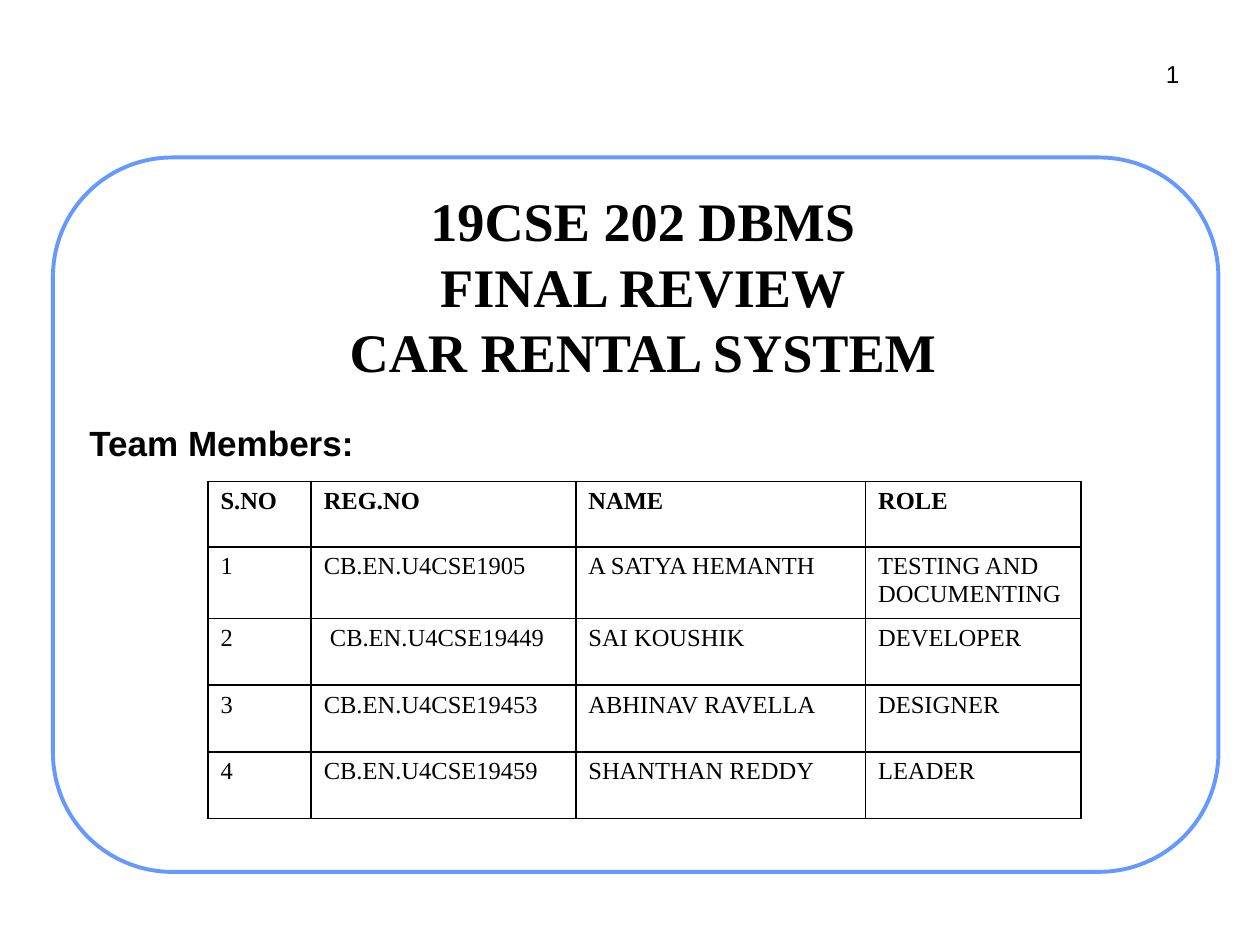
from pptx import Presentation
from pptx.dml.color import RGBColor
from pptx.enum.shapes import MSO_SHAPE
from pptx.enum.text import MSO_ANCHOR, PP_ALIGN
from pptx.oxml import parse_xml
from pptx.oxml.ns import nsdecls
from pptx.util import Inches, Pt

ROUND = MSO_SHAPE.ROUNDED_RECTANGLE
TOP, MIDDLE = MSO_ANCHOR.TOP, MSO_ANCHOR.MIDDLE
LEFT, CENTER, RIGHT = PP_ALIGN.LEFT, PP_ALIGN.CENTER, PP_ALIGN.RIGHT

TITLE = "19CSE 202 DBMS\vFINAL REVIEW\vCAR RENTAL SYSTEM"
TEAM = [
    ["S.NO", "REG.NO", "NAME", "ROLE"],
    ["1", "CB.EN.U4CSE1905", "A SATYA HEMANTH", "TESTING AND DOCUMENTING"],
    ["2", " CB.EN.U4CSE19449", "SAI KOUSHIK", "DEVELOPER"],
    ["3", "CB.EN.U4CSE19453", "ABHINAV RAVELLA", "DESIGNER"],
    ["4", "CB.EN.U4CSE19459", "SHANTHAN REDDY", "LEADER"],
]
WIDTHS = [0.82, 2.1, 2.3, 1.71]
HEIGHTS = [0.52] + [0.53] * 4


def color(code):
    """Turn a hex string into a colour."""
    return RGBColor.from_string(code)


def write(frame, text, size=14, font="Arial", ink="000000", bold=False, align=LEFT, space=1.0):
    """Put formatted text in the first paragraph of a frame."""
    para = frame.paragraphs[0]
    para.text = text
    para.alignment = align
    para.line_spacing = space
    for run in para.runs:
        run.font.size = Pt(size)
        run.font.name = font
        run.font.bold = bold
        run.font.color.rgb = color(ink)


class Deck:
    """Hold the style and the current slide."""

    serif = "Times New Roman"
    ink = "000000"
    paper = "FFFFFF"
    accent = "6699FF"
    pad = Inches(0.05)

    def __init__(self, slide):
        """Keep the slide to draw on."""
        self.shapes = slide.shapes

    def panel(self, *box):
        """Draw the rounded frame."""
        shape = self.shapes.add_shape(ROUND, *map(Inches, box))
        shape.shadow.inherit = False
        shape.adjustments[0] = 0.167
        shape.fill.solid()
        shape.fill.fore_color.rgb = color(self.paper)
        shape.line.color.rgb = color(self.accent)
        shape.line.width = Pt(2.25)

    def text(self, words, *box, anchor=TOP, **style):
        """Add a text box."""
        frame = self.shapes.add_textbox(*map(Inches, box)).text_frame
        frame.word_wrap = True
        frame.vertical_anchor = anchor
        frame.margin_left = frame.margin_right = self.pad
        frame.margin_top = frame.margin_bottom = self.pad
        write(frame, words, ink=self.ink, **style)

    def border(self, cell):
        """Draw a thin line on each side of a cell."""
        props = cell._tc.get_or_add_tcPr()
        for place, side in enumerate(("lnL", "lnR", "lnT", "lnB")):
            props.insert(place, parse_xml(
                f'<a:{side} {nsdecls("a")} w="{Pt(1)}"><a:solidFill>'
                f'<a:srgbClr val="{self.ink}"/></a:solidFill></a:{side}>'))

    def table(self, rows, widths, heights, left, top):
        """Add a ruled table with a bold first row."""
        size = map(Inches, (left, top, sum(widths), sum(heights)))
        table = self.shapes.add_table(len(rows), len(widths), *size).table
        table.horz_banding = False
        for column, width in zip(table.columns, widths):
            column.width = Inches(width)
        for y, (row, height) in enumerate(zip(rows, heights)):
            table.rows[y].height = Inches(height)
            for x, words in enumerate(row):
                cell = table.cell(y, x)
                cell.fill.solid()
                cell.fill.fore_color.rgb = color(self.paper)
                self.border(cell)
                write(cell.text_frame, words, font=self.serif, ink=self.ink, bold=y == 0)


def main():
    """Build the slide and save it."""
    show = Presentation()
    show.slide_width, show.slide_height = Inches(10), Inches(7.5)
    deck = Deck(show.slides.add_slide(show.slide_layouts[6]))
    deck.panel(0.42, 1.25, 9.25, 5.67)
    deck.text("1", 9.19, 0.42, 0.22, 0.32, align=RIGHT)
    deck.text("Team Members:", 0.66, 3.36, 8.76, 3.88, size=20, bold=True, space=0.8)
    deck.text(TITLE, 0.89, 1.43, 8.42, 1.67, anchor=MIDDLE, size=31,
              font=deck.serif, bold=True, align=CENTER)
    deck.table(TEAM, WIDTHS, HEIGHTS, 1.65, 3.82)
    show.save("out.pptx")


if __name__ == "__main__":
    main()
